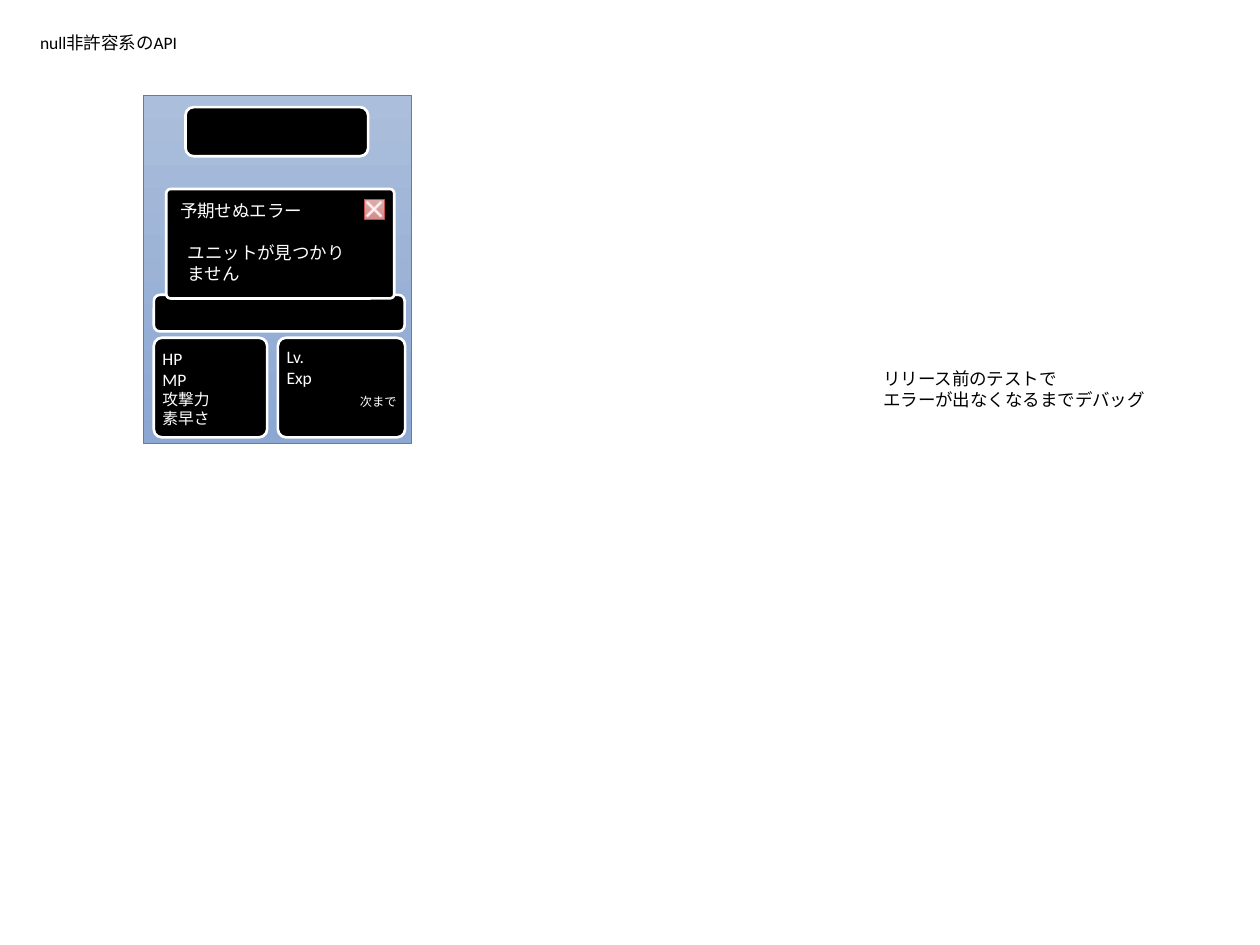
from pptx import Presentation
from pptx.dml.color import RGBColor
from pptx.enum.shapes import MSO_SHAPE
from pptx.enum.text import MSO_ANCHOR, MSO_AUTO_SIZE, PP_ALIGN
from pptx.util import Pt

RECT, ROUND, CROSS = MSO_SHAPE.RECTANGLE, MSO_SHAPE.ROUNDED_RECTANGLE, MSO_SHAPE.CROSS
TOP, MIDDLE = MSO_ANCHOR.TOP, MSO_ANCHOR.MIDDLE
LEFT, RIGHT = PP_ALIGN.LEFT, PP_ALIGN.RIGHT
NO_FIT = MSO_AUTO_SIZE.NONE
BLACK, WHITE = "000000", "FFFFFF"


def rgb(value):
    return RGBColor.from_string(value)


def place(sp, x, y, w, h):
    for name, value in dict(left=x, top=y, width=w, height=h).items():
        setattr(sp, name, Pt(value))


def write(sp, lines, color, inset=2.9, anchor=TOP, wrap=True):
    """Each line is (text, size) or (text, size, alignment, space before)."""
    tf = sp.text_frame
    for name, value in dict(word_wrap=wrap, auto_size=NO_FIT,
                            vertical_anchor=anchor).items():
        setattr(tf, name, value)
    for side in ("left", "right", "top", "bottom"):
        setattr(tf, "margin_" + side, Pt(inset))
    for i, (text, size, *extra) in enumerate(lines):
        align, before = extra or (LEFT, 0)
        p = tf.paragraphs[0] if i == 0 else tf.add_paragraph()
        p.alignment, p.space_before = align, Pt(before)
        r = p.add_run()
        r.text = text
        for name, value in dict(name="Calibri", size=Pt(size)).items():
            setattr(r.font, name, value)
        r.font.color.rgb = rgb(color)


def add_box(s, kind, x, y, w, h, fill, line, weight, adj=None):
    """A pair of colours as fill gives a gradient from top to bottom."""
    sp = s.shapes.add_shape(kind, Pt(x), Pt(y), Pt(w), Pt(h))
    sp.shadow.inherit = False
    if isinstance(fill, tuple):
        sp.fill.gradient()
        sp.fill.gradient_angle = 270
        for stop, color in zip(sp.fill.gradient_stops, fill):
            stop.color.rgb = rgb(color)
    else:
        sp.fill.solid()
        sp.fill.fore_color.rgb = rgb(fill)
    sp.line.color.rgb = rgb(line)
    sp.line.width = Pt(weight)
    if adj is not None:
        sp.adjustments[0] = adj
    return sp


def add_panel(s, x, y, w, h, adj=None):
    return add_box(s, ROUND, x, y, w, h, BLACK, WHITE, 1.5, adj)


def add_label(s, x, y, w, h, lines, color, wrap=True):
    sp = s.shapes.add_textbox(Pt(x), Pt(y), Pt(w), Pt(h))
    write(sp, lines, color, wrap=wrap)


def game_screen(s, x, y, w, h):
    add_box(s, RECT, x, y, w, h, ("ABBEDB", "8CA7D2"), "4F81BD", 0.5)
    # Name and message panels
    add_panel(s, x + 24, y + 6.5, 104.4, 28.1)
    add_panel(s, x + 5.9, y + 113.8, 143.3, 20.9)
    # Status panels
    row = y + 138.3
    stats = add_panel(s, x + 5.9, row, 64.8, 56.9, 0.082)
    write(stats, [("HP", 10), ("MP", 10), ("攻撃力", 9), ("素早さ", 9)],
          WHITE, 3.6, MIDDLE)
    level = add_panel(s, x + 76.8, row, 72.7, 56.9, 0.082)
    write(level, [("Lv.", 10), ("Exp", 10), ("次まで", 7, RIGHT, 3.6)], WHITE, 3.6)


def error_dialog(s, x, y, w, h):
    add_panel(s, x, y, w, h, 0.04)
    # Close button
    close = (x + w - 17.3, y + 5.8, 11.5, 11.5)
    add_box(s, RECT, *close, ("DDACAB", "D48D8B"), "C0504D", 0.5)
    cross = add_box(s, CROSS, *close, WHITE, "F2DCDB", 0.5, 0.453)
    cross.rotation = 45
    # Message and heading
    add_label(s, x + 9.4, y + 27.4, 103.7, 30.2,
              [("ユニットが見つかりません", 10)], WHITE)
    add_label(s, x + 5, y + 3.6, 123.8, 18, [("予期せぬエラー", 10)], WHITE)


prs = Presentation()
prs.slide_width, prs.slide_height = Pt(720), Pt(540)
s = prs.slides.add_slide(prs.slide_layouts[5])

# Title
title = s.shapes.title
place(title, 20, 15.1, 85, 18)
write(title, [("null非許容系のAPI", 10)], BLACK)

# Game mock-up with the error on top
game_screen(s, 82, 54.7, 153.4, 198.7)
error_dialog(s, 95, 108, 130.3, 62.6)

# Remark
add_label(s, 501.8, 207.4, 157, 30.2,
          [("リリース前のテストで", 10), ("エラーが出なくなるまでデバッグ", 10)],
          BLACK, wrap=False)

prs.save("out.pptx")
